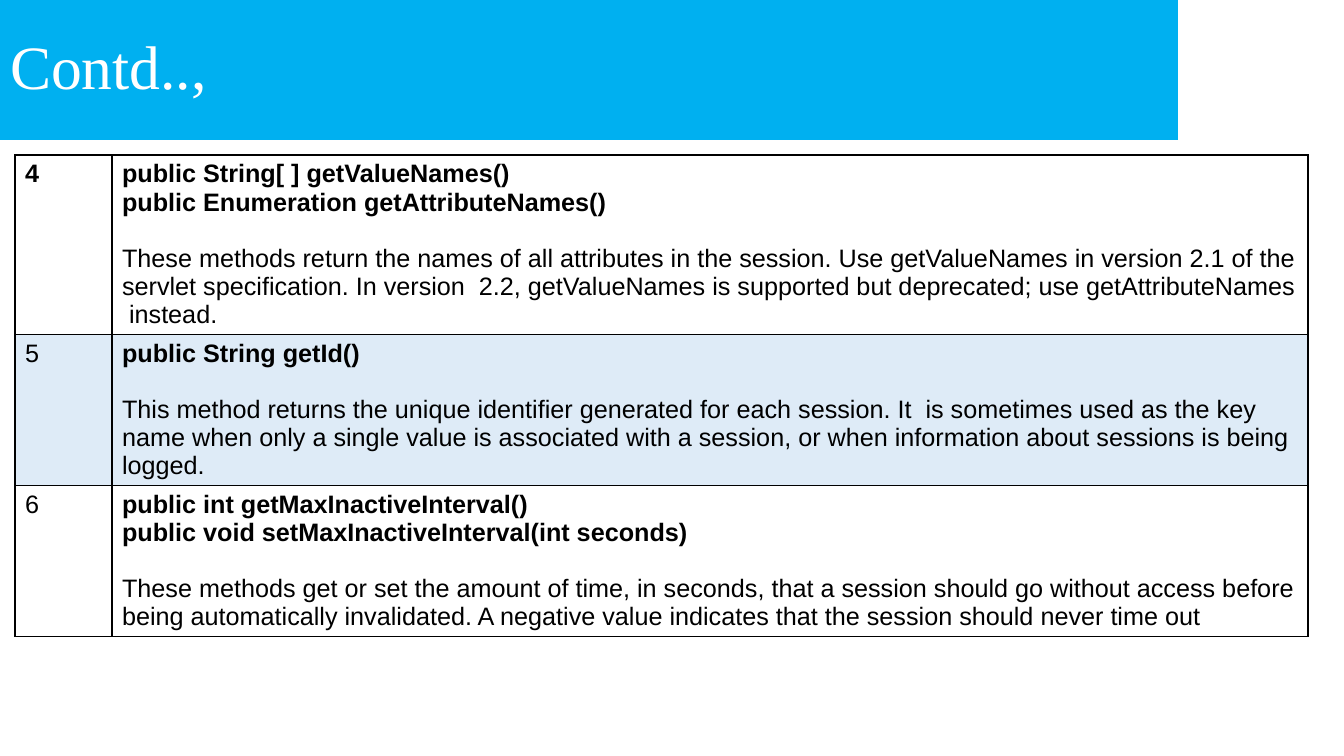
from lxml.etree import SubElement
from pptx import Presentation
from pptx.dml.color import RGBColor
from pptx.enum.text import MSO_ANCHOR, MSO_AUTO_SIZE, PP_ALIGN
from pptx.oxml.ns import qn
from pptx.util import Pt

SCALE = 914400 / 100.8


def px(n):
    return round(n * SCALE)


def style(p, size, font, color, bold=False):
    for r in p.runs:
        r.font.size, r.font.name, r.font.bold = Pt(size), font, bold
        r.font.color.rgb = RGBColor.from_string(color)


prs = Presentation()
prs.slide_width, prs.slide_height = px(1344), px(756)
s = prs.slides.add_slide(prs.slide_layouts[5])

# Title band
title = s.shapes.title
title.left, title.top, title.width, title.height = 0, 0, px(1178), px(140)
title.fill.solid()
title.fill.fore_color.rgb = RGBColor.from_string("00B0F0")
tf = title.text_frame
tf.text = "Contd..,"
tf.auto_size = MSO_AUTO_SIZE.NONE
tf.vertical_anchor = MSO_ANCHOR.MIDDLE
p = tf.paragraphs[0]
p.alignment, p.line_spacing = PP_ALIGN.LEFT, 0.9
style(p, 44, "Times New Roman", "FFFFFF")

# Session methods: number, signatures, description, row height, fill
methods = [
    ("4", ["public String[ ] getValueNames()",
           "public Enumeration getAttributeNames()"],
     "These methods return the names of all attributes in the session. "
     "Use getValueNames in version 2.1 of the servlet specification. "
     "In version \u00a02.2, getValueNames is supported but deprecated; "
     "use getAttributeNames \u00a0instead.", 179, "FFFFFF"),
    ("5", ["public String getId()"],
     "This method returns the unique identifier generated for each session. "
     "It \u00a0is sometimes used as the key name when only a single value is "
     "associated with a session, or when information about sessions is "
     "being logged.", 151, "DEEBF7"),
    ("6", ["public int getMaxInactiveInterval()",
           "public void setMaxInactiveInterval(int seconds)"],
     "These methods get or set the amount of time, in seconds, that a session "
     "should go without access before being automatically invalidated. "
     "A negative value indicates that the session should never time out",
     151, "FFFFFF"),
]

# Table
widths = [97, 1196]
height = sum(m[3] for m in methods)
table = s.shapes.add_table(len(methods), 2, px(15), px(155),
                           px(sum(widths)), px(height)).table
table.first_row = table.horz_banding = False
for col, width in zip(table.columns, widths):
    col.width = px(width)

for row, (number, signatures, description, height, fill) in zip(table.rows, methods):
    row.height = px(height)
    number_cell, method_cell = row.cells
    number_cell.text = number
    style(number_cell.text_frame.paragraphs[0], 18, "Arial", "000000", number == "4")

    method_cell.text = "\n".join(signatures + [description])
    *heads, body = method_cell.text_frame.paragraphs
    for p in heads:
        style(p, 18, "Arial", "000000", True)
    style(body, 18, "Arial", "000000")
    body.space_before = Pt(20)

    # Borders come before the fill in the cell properties
    for cell in row.cells:
        tc_pr = cell._tc.get_or_add_tcPr()
        for side in ("a:lnL", "a:lnR", "a:lnT", "a:lnB"):
            ln = SubElement(tc_pr, qn(side), w=str(Pt(1)))
            SubElement(SubElement(ln, qn("a:solidFill")), qn("a:srgbClr"), val="000000")
        cell.fill.solid()
        cell.fill.fore_color.rgb = RGBColor.from_string(fill)

prs.save("out.pptx")
